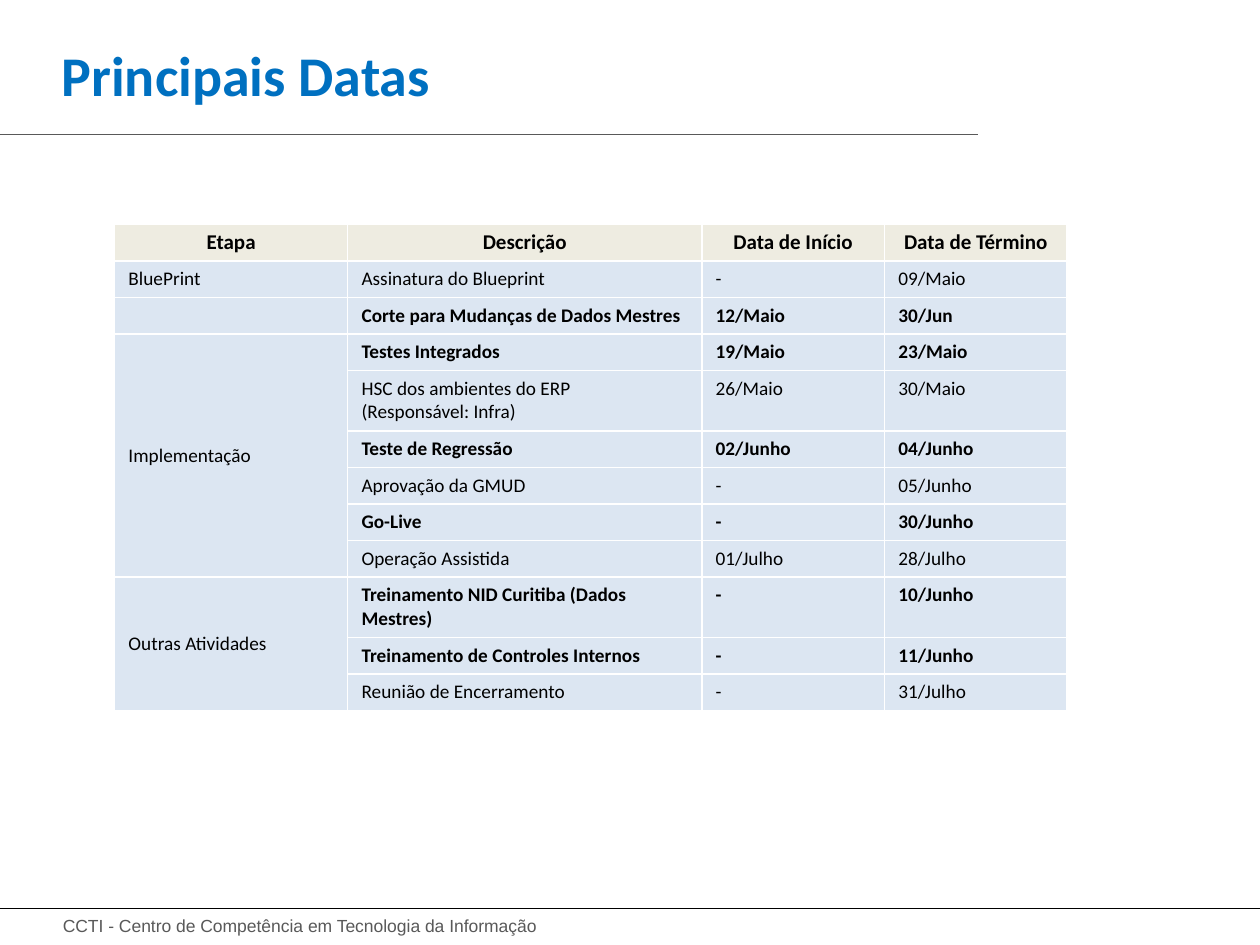
"""Build the slide with the table of main project dates."""
from lxml import etree
from pptx import Presentation
from pptx.dml.color import RGBColor
from pptx.enum.text import MSO_ANCHOR, PP_ALIGN
from pptx.oxml import parse_xml
from pptx.oxml.ns import nsdecls, qn
from pptx.util import Inches, Pt

MIDDLE, TOP = MSO_ANCHOR.MIDDLE, MSO_ANCHOR.TOP
CENTER, LEFT = PP_ALIGN.CENTER, PP_ALIGN.LEFT
WHITE = RGBColor(0xFF, 0xFF, 0xFF)
BLACK = RGBColor(0, 0, 0)
GRAY = RGBColor(0x59, 0x59, 0x59)
BLUE = RGBColor(0x00, 0x70, 0xC0)
CREAM = RGBColor(0xEE, 0xEC, 0xE1)
PALE_BLUE = RGBColor(0xDC, 0xE6, 0xF2)

HEADERS = ["Etapa", "Descrição", "Data de Início", "Data de Término"]
STEPS = [
    ("BluePrint", "Assinatura do Blueprint", "-", "09/Maio", False),
    ("", "Corte para Mudanças de Dados Mestres", "12/Maio", "30/Jun", True),
    ("Implementação", "Testes Integrados", "19/Maio", "23/Maio", True),
    ("", "HSC dos ambientes do ERP\n(Responsável: Infra)", "26/Maio", "30/Maio", False),
    ("", "Teste de Regressão", "02/Junho", "04/Junho", True),
    ("", "Aprovação da GMUD", "-", "05/Junho", False),
    ("", "Go-Live", "-", "30/Junho", True),
    ("", "Operação Assistida", "01/Julho", "28/Julho", False),
    ("Outras Atividades", "Treinamento NID Curitiba (Dados Mestres)", "-", "10/Junho", True),
    ("", "Treinamento de Controles Internos", "-", "11/Junho", True),
    ("", "Reunião de Encerramento", "-", "31/Julho", False),
]
COL_WIDTHS = [1.85, 2.81, 1.45, 1.45]
BLANK_HEIGHT, ROW_HEIGHT, TALL_HEIGHT = 0.3, 0.29, 0.48
TALL_ROWS = (5, 10)


def write(tf, text, size, color, font="Calibri", bold=False, align=LEFT):
    tf.text = text
    for p in tf.paragraphs:
        p.alignment = align
        for r in p.runs:
            r.font.name, r.font.size, r.font.bold = font, Pt(size), bold
            r.font.color.rgb = color
        if not p.runs:
            etree.SubElement(p._p, qn("a:endParaRPr")).set("sz", str(size * 100))


def style_cell(cell, fill, edges):
    cell.fill.solid()
    cell.fill.fore_color.rgb = fill
    tcPr = cell._tc.get_or_add_tcPr()
    for i, (edge, width) in enumerate(edges.items()):
        tcPr.insert(i, parse_xml(
            f'<a:{edge} {nsdecls("a")} w="{Pt(width)}"><a:solidFill>'
            f'<a:srgbClr val="{WHITE}"/></a:solidFill></a:{edge}>'))


prs = Presentation()
prs.slide_width, prs.slide_height = Inches(10), Inches(7.5)
s = prs.slides.add_slide(prs.slide_layouts[6])

for y, length, color, width in [(1.07, 7.76, GRAY, 0.5), (7.21, 10, BLACK, 0.75)]:
    line = s.shapes.add_connector(1, 0, Inches(y), Inches(length), Inches(y))
    line.line.color.rgb = color
    line.line.width = Pt(width)
    etree.SubElement(line._element.spPr, qn("a:effectLst"))

for box, text, size, color, font, bold, anchor in [
    ((0.4, 7.21, 4.92, 0.27), "CCTI - Centro de Competência em Tecnologia da Informação",
     10, GRAY, "Arial", False, TOP),
    ((0.39, 0.15, 6.92, 0.87), "Principais Datas", 32, BLUE, "Calibri", True, MIDDLE),
]:
    tf = s.shapes.add_textbox(*map(Inches, box)).text_frame
    tf.word_wrap = True
    tf.vertical_anchor = anchor
    write(tf, text, size, color, font, bold)

rows = [("", "", "", "", False), (*HEADERS, True), *STEPS]
table = s.shapes.add_table(len(rows), len(COL_WIDTHS), Inches(0.91), Inches(1.47),
                           Inches(sum(COL_WIDTHS)), Inches(4.15)).table
table.horz_banding = False
for column, width in zip(table.columns, COL_WIDTHS):
    column.width = Inches(width)

for i, (*texts, bold) in enumerate(rows):
    height = BLANK_HEIGHT if i == 0 else TALL_HEIGHT if i in TALL_ROWS else ROW_HEIGHT
    table.rows[i].height = Inches(height)
    fill = (WHITE, CREAM)[i] if i < 2 else PALE_BLUE
    edges = {"lnL": 1, "lnR": 1, "lnT": 3 if i == 1 else 1, "lnB": 3 if i == 0 else 1}
    for j, text in enumerate(texts):
        cell = table.cell(i, j)
        cell.margin_left = cell.margin_right = Inches(0.11)
        cell.margin_top = cell.margin_bottom = Inches(0.05)
        cell.vertical_anchor = MIDDLE if i > 1 and j == 0 else TOP
        write(cell.text_frame, text, 12 if i == 1 else 11, BLACK,
              bold=bold and (i == 1 or j > 0), align=CENTER if i == 1 else LEFT)
        style_cell(cell, fill, edges)

for first, last in [(4, 9), (10, 12)]:
    table.cell(first, 0).merge(table.cell(last, 0))

prs.save("out.pptx")
